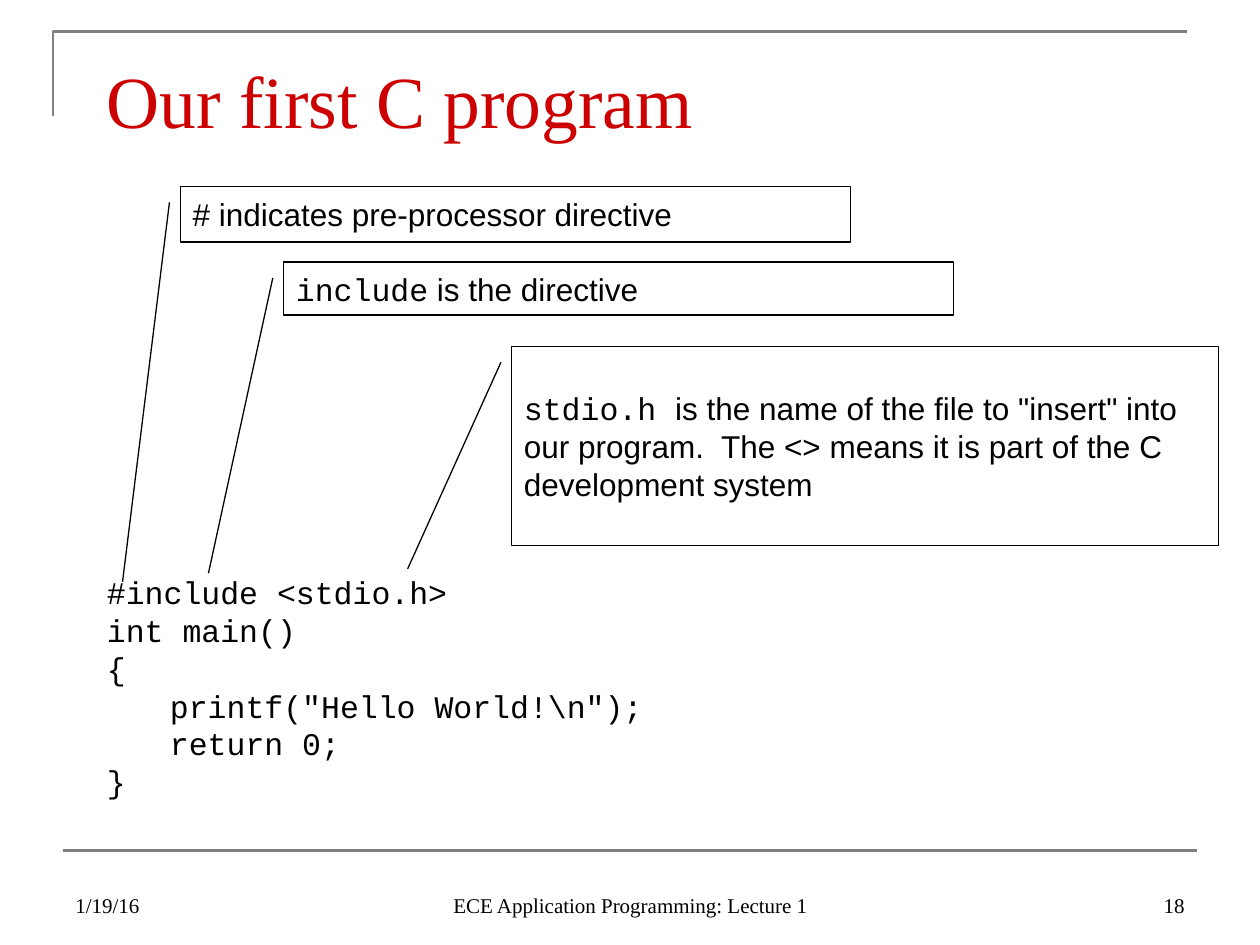
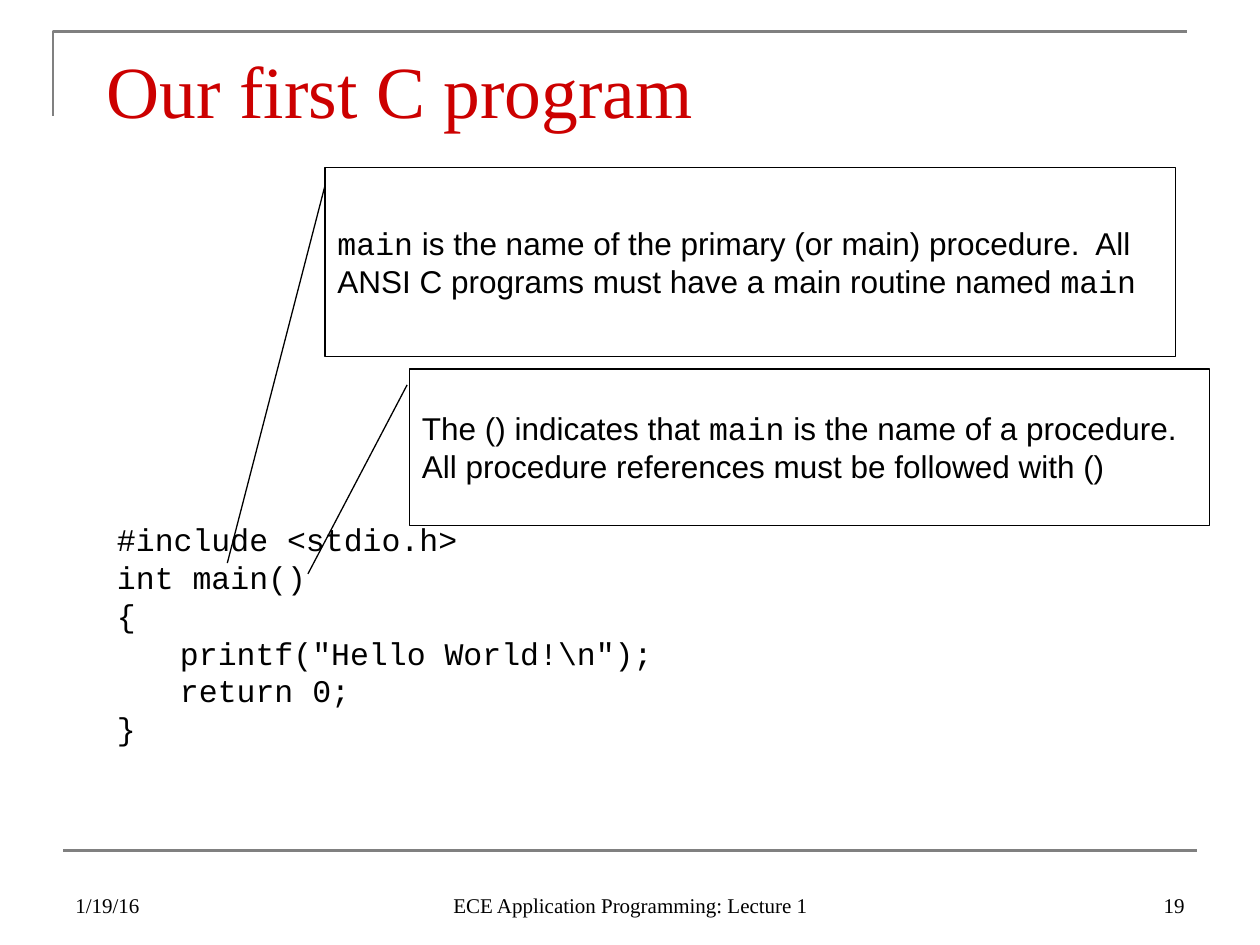
"""Builds two annotated slides about a first C program."""
from pptx import Presentation
from pptx.dml.color import RGBColor
from pptx.enum.shapes import MSO_CONNECTOR, MSO_SHAPE
from pptx.enum.text import MSO_ANCHOR, PP_ALIGN
from pptx.util import Inches, Pt
from lxml import etree

STRAIGHT = MSO_CONNECTOR.STRAIGHT
CALLOUT = MSO_SHAPE.LINE_CALLOUT_1
TOP, MIDDLE, BOTTOM = MSO_ANCHOR.TOP, MSO_ANCHOR.MIDDLE, MSO_ANCHOR.BOTTOM
LEFT, CENTER, RIGHT = PP_ALIGN.LEFT, PP_ALIGN.CENTER, PP_ALIGN.RIGHT

WIDTH, HEIGHT = 10, 7.5
RULE_GREY, RULE_WEIGHT = "808080", 1.5
FORMATS = {
    "title": {"name": "Times New Roman", "size": 42, "color": "CC0000"},
    "footer": {"name": "Times New Roman", "size": 12, "color": "000000"},
    "code": {"name": "Courier New", "size": 18, "color": "000000"},
    "note": {"name": "Arial", "size": 18, "color": "000000"},
}
BODY_PITCH = 21.6

TITLE = "Our first C program"
DATE = "1/19/16"
COURSE = "ECE Application Programming: Lecture 1"
PROGRAM = [
    "#include <stdio.h>",
    "int main()",
    "{",
    "\tprintf(\"Hello World!\\n\");",
    "\treturn 0;",
    "}",
]
SLIDES = [
    {
        "number": "18", "title_top": 0.33, "program_at": (0.75, 4.5),
        "callouts": [
            {"at": (1.43, 1.48, 5.32, 0.44), "tail": (0.287, -0.016, 7.131, -0.086),
             "words": [("note", "# indicates pre-processor directive")]},
            {"at": (2.25, 2.08, 5.32, 0.42), "tail": (0.3, -0.016, 5.879, -0.112),
             "words": [("code", "include"), ("note", " is the directive")]},
            {"at": (4.06, 2.75, 5.61, 1.58), "tail": (0.079, -0.015, 1.117, -0.147),
             "words": [("code", "stdio.h "),
                       ("note", "is the name of the file to \"insert\" into our program.  "
                                "The <> means it is part of the C development system")]},
        ],
    },
    {
        "number": "19", "title_top": 0.25, "program_at": (0.83, 4.08),
        "callouts": [
            {"at": (2.58, 1.33, 6.75, 1.5), "tail": (0.094, 0, 2.093, -0.115),
             "words": [("code", "main"),
                       ("note", " is the name of the primary (or main) procedure.  "
                                "All ANSI C programs must have a main routine named "),
                       ("code", "main")]},
            {"at": (3.25, 2.93, 6.35, 1.24), "tail": (0.101, -0.003, 1.311, -0.127),
             "words": [("note", "The () indicates that "), ("code", "main"),
                       ("note", " is the name of a procedure.  "
                                "All procedure references must be followed with ()")]},
        ],
    },
]


def paint(color_format, hex_color):
    color_format.rgb = RGBColor.from_string(hex_color)


def draw_outline(line, hex_color, weight):
    paint(line.color, hex_color)
    line.width = Pt(weight)


def write(frame, lines, anchor=TOP, align=LEFT, pitch=None):
    """Fill a frame; each line is a list of (format, text) runs."""
    frame.word_wrap = True
    frame.vertical_anchor = anchor
    for index, words in enumerate(lines):
        paragraph = frame.add_paragraph() if index else frame.paragraphs[0]
        paragraph.alignment = align
        if pitch:
            paragraph.line_spacing = Pt(pitch)
        for kind, text in words:
            run = paragraph.add_run()
            run.text = text
            style = FORMATS[kind]
            for key, value in {"name": style["name"], "size": Pt(style["size"])}.items():
                setattr(run.font, key, value)
            paint(run.font.color, style["color"])


def add_text(slide, at, lines, **layout):
    box = slide.shapes.add_textbox(*map(Inches, at))
    write(box.text_frame, lines, **layout)


def add_frame(slide):
    """Draw the corner line at the top and the rule above the footer."""
    left, top = 0.42, 0.25
    builder = slide.shapes.build_freeform(Inches(left), Inches(top + 0.67))
    builder.add_line_segments(
        [(Inches(left), Inches(top)), (Inches(left + 9), Inches(top))], close=False)
    corner = builder.convert_to_shape()
    corner.shadow.inherit = False
    corner.fill.background()
    draw_outline(corner.line, RULE_GREY, RULE_WEIGHT)

    ends = (0.05 * WIDTH, 0.9 * HEIGHT, 0.95 * WIDTH, 0.9 * HEIGHT)
    rule = slide.shapes.add_connector(STRAIGHT, *map(Inches, ends))
    properties = rule.line._get_or_add_ln().getparent()
    draw_outline(rule.line, RULE_GREY, RULE_WEIGHT)
    namespace = properties.nsmap["a"]
    etree.SubElement(properties, f"{{{namespace}}}effectLst")


def add_footer(slide, number):
    for left, width, text, align in (
        (0.5, 2.33, DATE, LEFT),
        (3.42, 3.17, COURSE, CENTER),
        (7.17, 2.33, number, RIGHT),
    ):
        add_text(slide, (left, 6.83, width, 0.5), [[("footer", text)]],
                 anchor=BOTTOM, align=align)


def add_callout(slide, at, tail, words):
    callout = slide.shapes.add_shape(CALLOUT, *map(Inches, at))
    for index, share in enumerate(tail):
        callout.adjustments[index] = share
    callout.shadow.inherit = False
    callout.fill.background()
    draw_outline(callout.line, "000000", 0.75)
    write(callout.text_frame, [words], anchor=MIDDLE, pitch=BODY_PITCH)


def main():
    deck = Presentation()
    deck.slide_width, deck.slide_height = Inches(WIDTH), Inches(HEIGHT)
    for content in SLIDES:
        slide = deck.slides.add_slide(deck.slide_layouts[6])
        add_frame(slide)
        add_text(slide, (0.75, content["title_top"], 8.5, 0.92),
                 [[("title", TITLE)]], anchor=MIDDLE)
        add_text(slide, (*content["program_at"], 8.58, 2.5),
                 [[("code", line)] for line in PROGRAM], pitch=BODY_PITCH)
        for callout in content["callouts"]:
            add_callout(slide, **callout)
        add_footer(slide, content["number"])
    deck.save("out.pptx")


if __name__ == "__main__":
    main()
